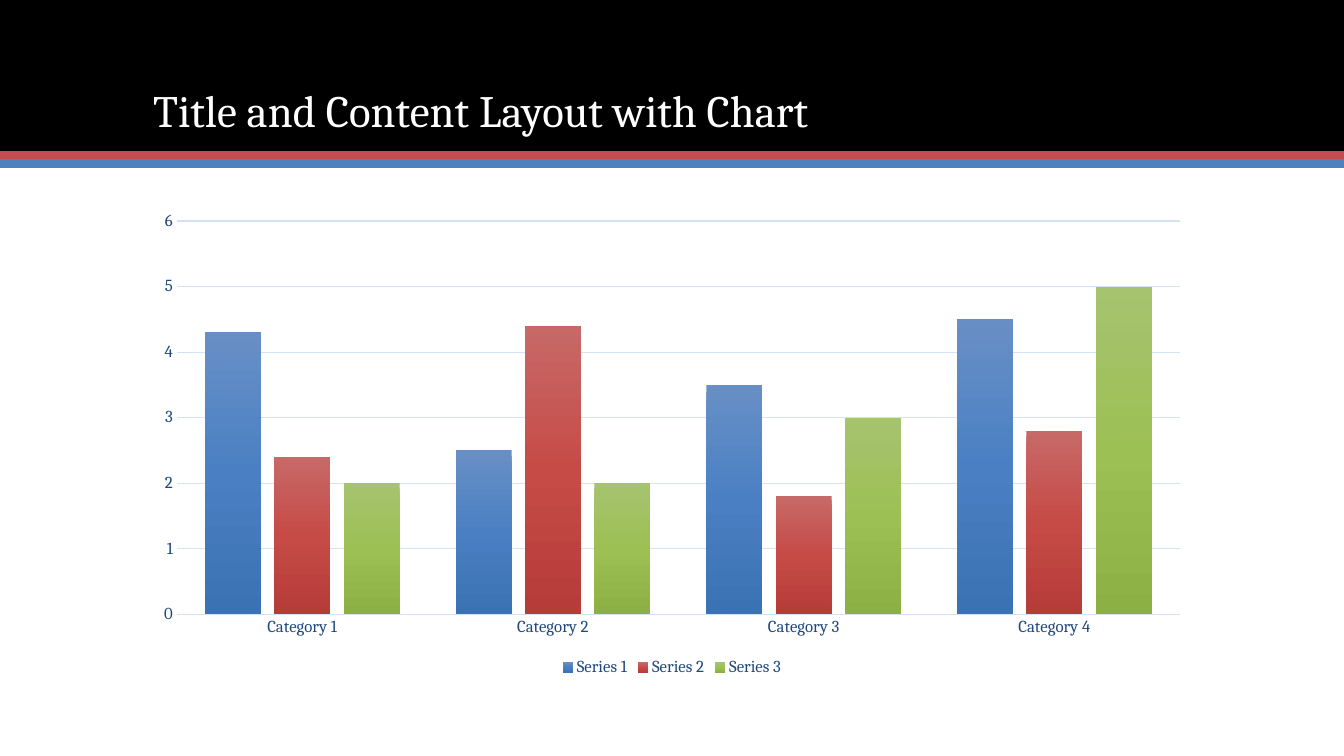
from lxml import etree
from pptx import Presentation
from pptx.chart.data import CategoryChartData
from pptx.dml.color import RGBColor
from pptx.enum.chart import XL_CHART_TYPE as CT, XL_LEGEND_POSITION as LP, XL_TICK_MARK as TM
from pptx.enum.shapes import MSO_SHAPE as SHAPE
from pptx.enum.text import MSO_ANCHOR as ANCHOR, MSO_AUTO_SIZE as FIT, PP_ALIGN as ALIGN
from pptx.oxml.ns import qn
from pptx.util import Pt

EMU_PER_PX = 914400 / 100.8
FONT = "Cambria"
COLORS = {"black": "000000", "white": "FFFFFF", "red": "C0504D", "blue": "4F81BD",
          "label": "1F497D", "grid": "D4E3F4"}
CATEGORIES = [f"Category {n}" for n in range(1, 5)]
# name: (values, gradient from top to bottom)
SERIES = {
    "Series 1": ((4.3, 2.5, 3.5, 4.5), ("688FC5", "4A80C3", "3B72B3")),
    "Series 2": ((2.4, 4.4, 1.8, 2.8), ("C76967", "C64B47", "B63C39")),
    "Series 3": ((2, 2, 3, 5), ("A6C36F", "9DC054", "8DB045")),
}


def px(*lengths):
    return [round(n * EMU_PER_PX) for n in lengths]


def rgb(name):
    return RGBColor.from_string(COLORS[name])


class Deck:
    def __init__(self, width, height):
        self.prs = Presentation()
        self.prs.slide_width, self.prs.slide_height = px(width, height)
        self.s = self.prs.slides.add_slide(self.prs.slide_layouts[5])

    def style(self, font, size, color):
        font.name, font.size, font.color.rgb = FONT, Pt(size), rgb(color)

    def grid_line(self, line):
        line.color.rgb, line.width = rgb("grid"), Pt(0.75)

    def band(self, box, color):
        sp = self.s.shapes.add_shape(SHAPE.RECTANGLE, *px(*box))
        sp.shadow.inherit = False
        sp.fill.solid()
        sp.fill.fore_color.rgb = rgb(color)
        sp.line.fill.background()

    def title(self, box, text):
        sp = self.s.shapes.title
        sp.left, sp.top, sp.width, sp.height = px(*box)
        self.s.shapes._spTree.append(sp._element)  # in front of the bands
        tf = sp.text_frame
        tf.text = text
        tf.word_wrap, tf.auto_size = True, FIT.NONE
        tf.vertical_anchor = ANCHOR.BOTTOM
        p = tf.paragraphs[0]
        p.alignment, p.line_spacing = ALIGN.LEFT, 0.9
        self.style(p.runs[0].font, 32, "white")

    def gradient(self, series, stops):
        sp_pr = series.format.fill._xPr
        grad = etree.Element(qn("a:gradFill"), rotWithShape="1")
        gs_list = etree.SubElement(grad, qn("a:gsLst"))
        for i, color in enumerate(stops):
            gs = etree.SubElement(gs_list, qn("a:gs"), pos=str(i * 50000))
            etree.SubElement(gs, qn("a:srgbClr"), val=color)
        etree.SubElement(grad, qn("a:lin"), ang="5400000", scaled="0")
        sp_pr.insert(0, grad)

    def column_chart(self, box, categories, series):
        data = CategoryChartData()
        data.categories = categories
        for name, (values, _) in series.items():
            data.add_series(name, values)
        chart = self.s.shapes.add_chart(CT.COLUMN_CLUSTERED, *px(*box), data).chart
        self.style(chart.font, 12, "label")
        chart.has_title = False

        # Columns
        plot = chart.plots[0]
        plot.gap_width, plot.overlap, plot.vary_by_categories = 100, -24, False
        for ser, (_, stops) in zip(plot.series, series.values()):
            ser.invert_if_negative = False
            self.gradient(ser, stops)

        # Axes
        cat, val = chart.category_axis, chart.value_axis
        for axis in (cat, val):
            axis.major_tick_mark = axis.minor_tick_mark = TM.NONE
            self.style(axis.tick_labels.font, 12, "label")
        self.grid_line(cat.format.line)
        val.format.line.fill.background()
        val.minimum_scale, val.maximum_scale, val.major_unit = 0, 6, 1
        self.grid_line(val.major_gridlines.format.line)

        # Legend
        chart.has_legend = True
        legend = chart.legend
        legend.position, legend.include_in_layout = LP.BOTTOM, False
        self.style(legend.font, 12, "label")


deck = Deck(1344, 756)

# Header
deck.band((0, 0, 1344, 151), "black")
deck.band((0, 151, 1344, 9), "red")
deck.band((0, 159, 1344, 9), "blue")
deck.title((143, 28, 1058, 114), "Title and Content Layout with Chart")

# Chart
deck.column_chart((143, 202, 1058, 479), CATEGORIES, SERIES)

deck.prs.save("out.pptx")
